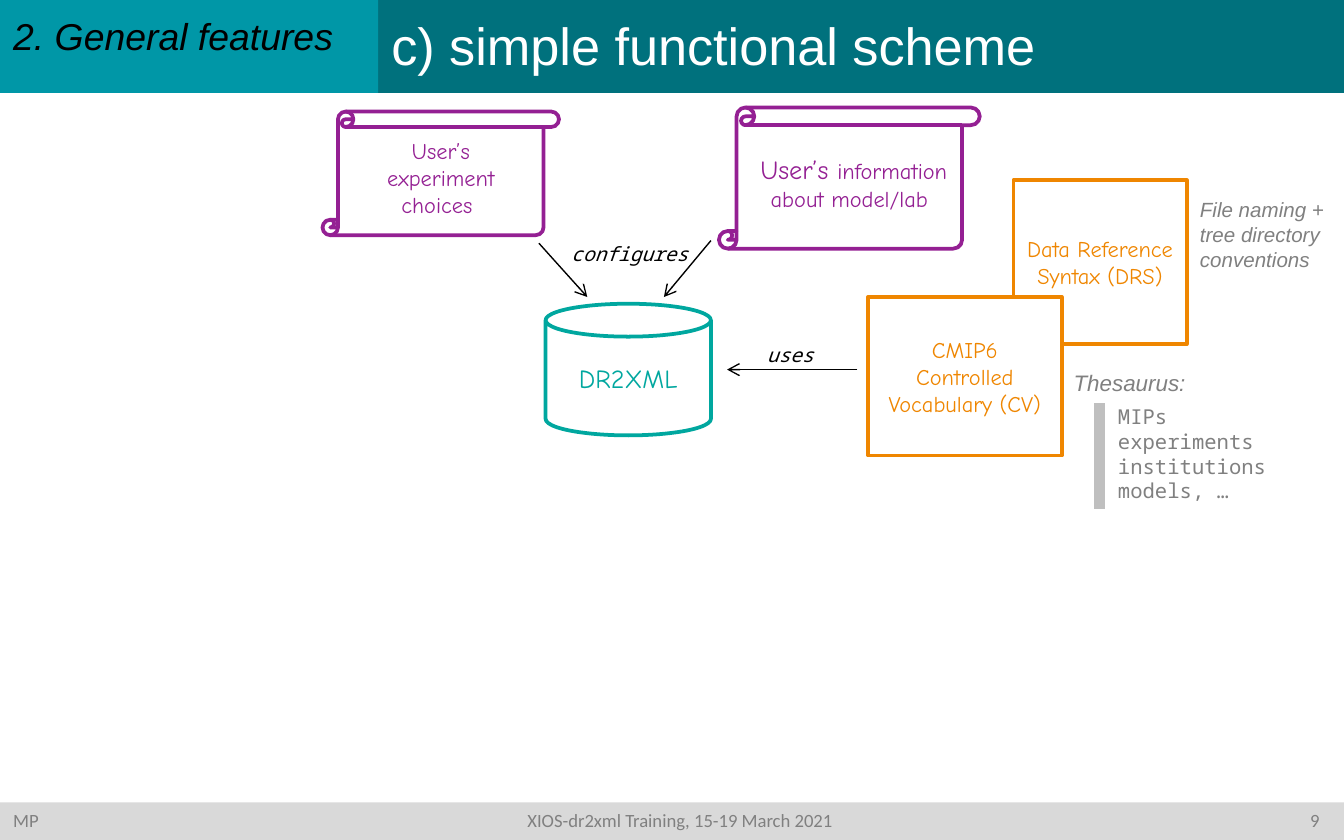
from dataclasses import dataclass
from typing import NamedTuple, Optional

from lxml.etree import SubElement
from pptx import Presentation
from pptx.dml.color import RGBColor
from pptx.enum.shapes import MSO_CONNECTOR, MSO_SHAPE
from pptx.enum.text import MSO_ANCHOR, PP_ALIGN
from pptx.oxml.ns import qn
from pptx.util import Inches, Pt

WHITE = RGBColor(0xFF, 0xFF, 0xFF)
BLACK = RGBColor(0, 0, 0)
DARK_TEAL = RGBColor(0x00, 0x71, 0x7D)
TEAL = RGBColor(0x00, 0x97, 0xA7)
GREEN = RGBColor(0x00, 0xA7, 0x9F)
PURPLE = RGBColor(0x94, 0x20, 0x93)
ORANGE = RGBColor(0xEF, 0x86, 0x00)
GRAY = RGBColor(0x80, 0x80, 0x80)
RULE_GRAY = RGBColor(0xBF, 0xBF, 0xBF)
FOOTER_GRAY = RGBColor(0xD9, 0xD9, 0xD9)

SANS, HAND, MONO, FOOTER_FONT = "Arial", "Comic Neue", "Noto Sans Mono", "Calibri"
COLUMNS, ROWS = 100, 62.5
SLIDE_WIDTH, SLIDE_HEIGHT = Inches(10), Inches(6.25)
HEADER_ROWS, HEADER_SPLIT = 6.92, 28.13
FOOTER_ROWS = 2.8


class Area(NamedTuple):
    column: float
    row: float
    columns: float
    rows: float


class Style(NamedTuple):
    font: str
    size: float
    color: RGBColor
    italic: bool = False


class Run(NamedTuple):
    text: str
    size: Optional[float] = None


@dataclass
class Box:
    area: Area
    paragraphs: list[list[Run]]
    style: Style
    preset: Optional[MSO_SHAPE] = None
    fill: Optional[RGBColor] = None
    outline: Optional[RGBColor] = None
    alignment: PP_ALIGN = PP_ALIGN.LEFT
    anchor: MSO_ANCHOR = MSO_ANCHOR.TOP
    inset: float = 0.05
    side_inset: float = 0.1


class Link(NamedTuple):
    start: tuple[float, float]
    end: tuple[float, float]
    color: RGBColor = BLACK
    width: float = 0.75
    arrow: bool = True


def across(column: float) -> int:
    return round(SLIDE_WIDTH * column / COLUMNS)


def down(row: float) -> int:
    return round(SLIDE_HEIGHT * row / ROWS)


def apply_format(target, values: dict) -> None:
    for name, value in values.items():
        setattr(target, name, value)


def lines(*texts: str) -> list[list[Run]]:
    return [[Run(text)] for text in texts]


def node(area: Area, paragraphs: list[list[Run]], color: RGBColor, preset: MSO_SHAPE,
         size: float = 12, fill: Optional[RGBColor] = None, side_inset: float = 0.1) -> Box:
    return Box(area, paragraphs, Style(HAND, size, color), preset, fill, color,
               PP_ALIGN.CENTER, MSO_ANCHOR.MIDDLE, side_inset=side_inset)


def write_text(shape, box: Box) -> None:
    frame = shape.text_frame
    apply_format(frame, {
        "word_wrap": True,
        "vertical_anchor": box.anchor,
        "margin_top": Inches(box.inset),
        "margin_bottom": Inches(box.inset),
        "margin_left": Inches(box.side_inset),
        "margin_right": Inches(box.side_inset),
    })
    for index, runs in enumerate(box.paragraphs):
        paragraph = frame.add_paragraph() if index else frame.paragraphs[0]
        paragraph.alignment = box.alignment
        for piece in runs:
            run = paragraph.add_run()
            run.text = piece.text
            apply_format(run.font, {
                "name": box.style.font,
                "size": Pt(piece.size or box.style.size),
                "italic": box.style.italic,
            })
            run.font.color.rgb = box.style.color


def draw_box(slide, box: Box):
    column, row, columns, rows = box.area
    place = (across(column), down(row), across(columns), down(rows))
    if box.preset is None:
        shape = slide.shapes.add_textbox(*place)
    else:
        shape = slide.shapes.add_shape(box.preset, *place)
        shape.shadow.inherit = False
        if box.fill is None:
            shape.fill.background()
        else:
            shape.fill.solid()
            shape.fill.fore_color.rgb = box.fill
        if box.outline is None:
            shape.line.fill.background()
        else:
            shape.line.color.rgb = box.outline
            shape.line.width = Pt(2)
            SubElement(shape.line._get_or_add_ln(), qn("a:round"))
    write_text(shape, box)
    return shape


def draw_link(slide, link: Link) -> None:
    (start_column, start_row), (end_column, end_row) = link.start, link.end
    connector = slide.shapes.add_connector(
        MSO_CONNECTOR.STRAIGHT, across(start_column), down(start_row),
        across(end_column), down(end_row))
    connector.line.color.rgb = link.color
    connector.line.width = Pt(link.width)
    if link.arrow:
        SubElement(connector.line._get_or_add_ln(), qn("a:tailEnd"), type="arrow")
    SubElement(connector._element.spPr, qn("a:effectLst"))


def add_tab_stops(shape, stops: list[tuple[float, str]]) -> None:
    properties = shape.text_frame.paragraphs[0]._p.get_or_add_pPr()
    tab_list = SubElement(properties, qn("a:tabLst"))
    for column, alignment in stops:
        SubElement(tab_list, qn("a:tab"), pos=str(across(column)), algn=alignment)


LABEL = Style(MONO, 10.5, BLACK, True)
RECTANGLE, SCROLL = MSO_SHAPE.RECTANGLE, MSO_SHAPE.VERTICAL_SCROLL

BOXES = [
    Box(Area(HEADER_SPLIT, 0, COLUMNS - HEADER_SPLIT, HEADER_ROWS),
        lines("c) simple functional scheme"), Style(SANS, 28, WHITE),
        RECTANGLE, DARK_TEAL, inset=0.1),
    Box(Area(0, 0, HEADER_SPLIT, HEADER_ROWS), lines("2. General features"),
        Style(SANS, 20, BLACK, True), RECTANGLE, TEAL, inset=0.1),
    node(Area(24, 8.3, 17.6, 9.2), lines("User’s", "experiment choices "), PURPLE, SCROLL),
    node(Area(53.5, 8, 19.4, 10.5),
         [[Run(" User’s ", 14), Run("information about model/lab")]], PURPLE, SCROLL),
    Box(Area(82.2, 29.6, 13.7, 8.4),
        lines("MIPs", "experiments", "institutions", "models, …"), Style(MONO, 11, GRAY)),
    Box(Area(78.9, 27, 13.7, 3), lines("Thesaurus:"), Style(SANS, 12, GRAY, True)),
    Box(Area(55.9, 25, 5.8, 2.8), lines("uses"), LABEL, alignment=PP_ALIGN.CENTER),
    Box(Area(41.3, 17.5, 11.1, 2.8), lines("configures"), LABEL, alignment=PP_ALIGN.CENTER),
    node(Area(75.4, 13.4, 12.9, 12.2), lines("Data Reference Syntax (DRS)"),
         ORANGE, RECTANGLE, side_inset=0.08),
    node(Area(64.6, 22.1, 14.4, 11.8), lines("CMIP6 Controlled Vocabulary (CV)"),
         ORANGE, RECTANGLE, fill=WHITE),
    Box(Area(88.3, 14.2, 11.3, 6.6), lines("File naming + tree directory conventions"),
        Style(SANS, 11, GRAY, True)),
    node(Area(40.6, 22.6, 12.3, 9.8), lines("DR2XML"), GREEN, MSO_SHAPE.CAN, 14, WHITE),
]
FOOTER = Box(Area(0, ROWS - FOOTER_ROWS, COLUMNS, FOOTER_ROWS),
             lines("MP\tXIOS-dr2xml Training, 15-19 March 2021\t9"),
             Style(FOOTER_FONT, 10, GRAY), RECTANGLE, FOOTER_GRAY)
LINKS = [
    Link((81.8, 30), (81.8, 37.9), RULE_GRAY, 6, False),
    Link((63.8, 27.5), (54.1, 27.5)),
    Link((40.1, 18.1), (43.7, 22.1)),
    Link((52.9, 17.9), (49.4, 22.1)),
]


def main() -> None:
    presentation = Presentation()
    apply_format(presentation, {"slide_width": SLIDE_WIDTH, "slide_height": SLIDE_HEIGHT})
    slide = presentation.slides.add_slide(presentation.slide_layouts[6])
    for box in BOXES:
        draw_box(slide, box)
    for link in LINKS:
        draw_link(slide, link)
    add_tab_stops(draw_box(slide, FOOTER), [(49.6, "ctr"), (97.2, "r")])
    presentation.save("out.pptx")


if __name__ == "__main__":
    main()
